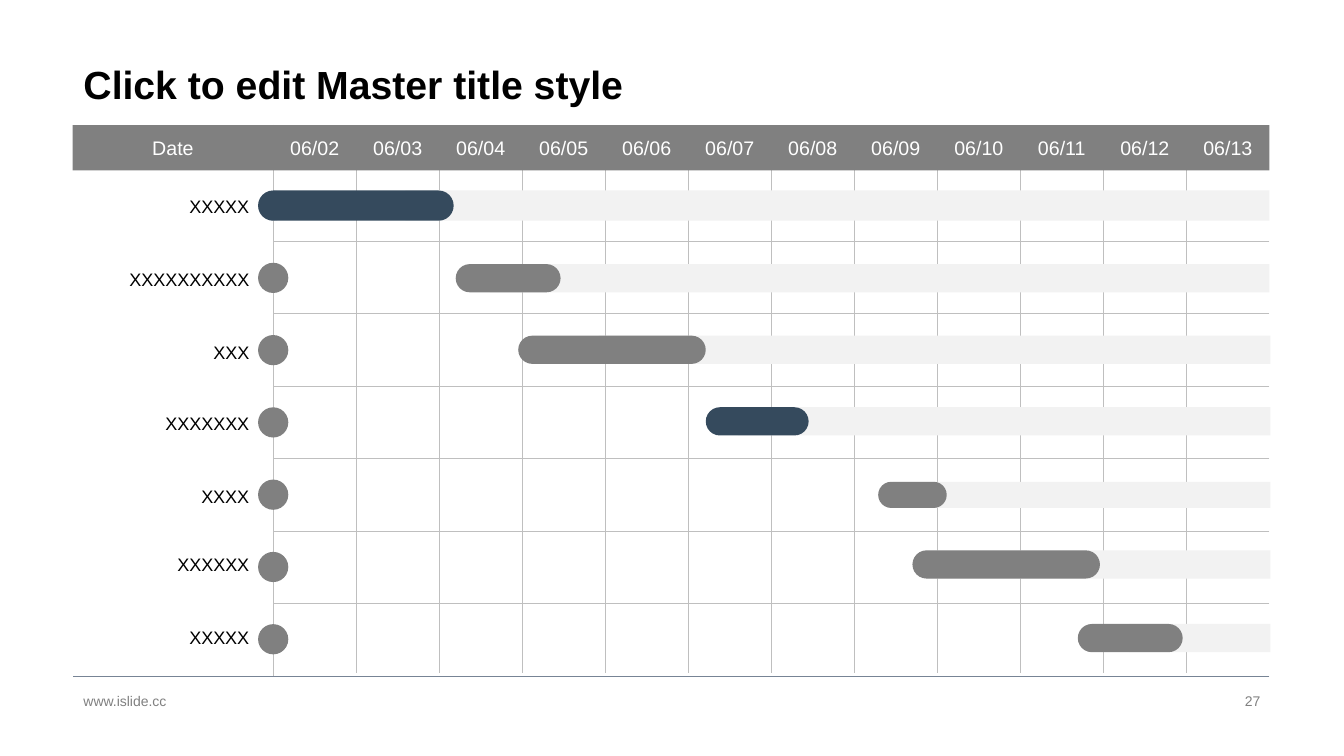
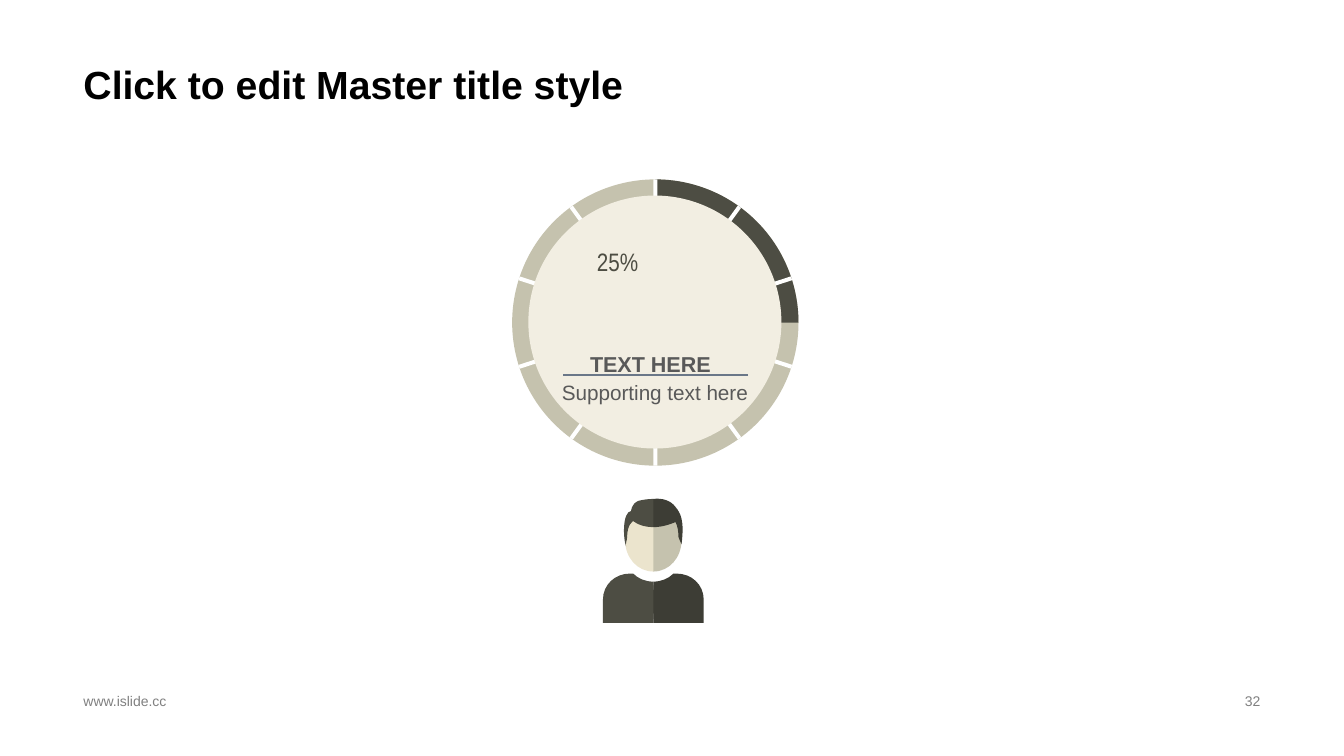
from dataclasses import dataclass
from math import cos, radians, sin

from lxml.etree import SubElement
from pptx import Presentation
from pptx.dml.color import RGBColor
from pptx.enum.shapes import MSO_CONNECTOR, MSO_SHAPE
from pptx.enum.text import MSO_ANCHOR, PP_ALIGN
from pptx.oxml.ns import qn
from pptx.util import Emu, Pt

PX = 9144  # EMU per px, 100 px to the inch


@dataclass(frozen=True)
class Theme:
    font: str = "Arial"
    narrow: str = "Arial Narrow"
    black: str = "000000"
    white: str = "FFFFFF"
    grey: str = "808080"
    navy: str = "354A5D"
    pale_navy: str = "C9CED5"
    grid: str = "BFBFBF"
    track: str = "F2F2F2"
    base_rule: str = "778495"
    caption_rule: str = "6A7788"
    body: str = "595959"
    dark: str = "4D4D43"
    darker: str = "3D3D35"
    sand: str = "C5C2AE"
    cream: str = "F2EEE2"
    skin: str = "EBE4CD"
    title_size: float = 28
    percent_size: float = 18
    heading_size: float = 15.4
    support_size: float = 14.8
    header_size: float = 14
    label_size: float = 12.9
    footer_size: float = 10


T = Theme()


@dataclass(frozen=True)
class Task:
    label: str
    label_y: int
    bar_x: int
    bar_y: int
    bar_w: int
    bar_h: int
    track_x: int
    track_right: int = 1260
    fill: str = T.grey
    dot: str = T.grey


@dataclass(frozen=True)
class Outline:
    """A start point, then lines (x, y) and cubic curves (six numbers)."""
    start: tuple
    segments: tuple
    fill: str

    def mirrored(self, axis: int, fill: str, tuck: tuple) -> "Outline":
        """Flip sideways; the tuck point reaches under the other half."""
        def flip(values: tuple) -> tuple:
            return tuple(2 * axis - v if i % 2 == 0 else v
                         for i, v in enumerate(values))
        return Outline(flip(self.start),
                       (*map(flip, self.segments), tuck), fill)


# Schedule
LEFT, GRID_LEFT, GRID_RIGHT = 72, 271, 1259
HEADER_Y, HEADER_H, BASE_Y = 124, 45, 671
DATES = [f"06/{day:02}" for day in range(2, 14)]
COLUMN_W = (GRID_RIGHT - GRID_LEFT) / len(DATES)
DOT = 30
TASKS = [
    Task("XXXXX", 189, 256, 189, 194, 30, 402, 1259, T.navy, T.pale_navy),
    Task("XXXXXXXXXX", 261, 452, 262, 104, 28, 486, 1259),
    Task("XXX", 333, 514, 333, 186, 28, 594),
    Task("XXXXXXX", 404, 700, 404, 102, 28, 732, fill=T.navy),
    Task("XXXX", 476, 871, 478, 68, 26, 886),
    Task("XXXXXX", 544, 905, 546, 186, 28, 917),
    Task("XXXXX", 616, 1069, 619, 104, 28, 1120),
]

# Dial and person
DIAL_X, DIAL_Y, DIAL_D, TICK_COUNT = 650, 320, 284, 10
PERSON_AXIS = 648
FACE = Outline((648, 505), ((632, 505, 620, 519, 620, 536),
                            (620, 553, 632, 567, 648, 567)), T.skin)
BUST = Outline((648, 577), ((656, 577, 663, 574, 668, 569), (671, 569),
                            (686, 569, 698, 580, 698, 595),
                            (698, 618), (648, 618)), T.darker)
HAIR_RIGHT = Outline((670, 503), ((665, 496, 656, 494, 648, 495),
                                  (645, 508), (648, 523),
                                  (657, 523, 665, 520, 670, 518),
                                  (672, 521, 673, 528, 673, 533),
                                  (675, 538, 676, 540, 676, 540),
                                  (679, 516, 675, 509, 670, 503)), T.darker)
HAIR_LEFT = Outline((633, 497), ((626, 500, 626, 507, 626, 507),
                                 (617, 508, 618, 535, 621, 542),
                                 (620, 540, 622, 536, 622, 533),
                                 (622, 520, 628, 517, 628, 517),
                                 (635, 522, 642, 523, 648, 523), (648, 495),
                                 (642, 495, 637, 496, 633, 497)), T.dark)
PERSON = [FACE.mirrored(PERSON_AXIS, T.sand, (646, 543)), FACE,
          BUST.mirrored(PERSON_AXIS, T.dark, (649, 596)), BUST,
          HAIR_RIGHT, HAIR_LEFT]


def px(value: float) -> Emu:
    return Emu(round(value * PX))


def paint(sp, fill: str) -> None:
    sp.shadow.inherit = False
    sp.fill.solid()
    sp.fill.fore_color.rgb = RGBColor.from_string(fill)
    sp.line.fill.background()


def add_shape(slide, kind, x: float, y: float, w: float, h: float, fill: str,
              adjust: tuple = (), rotation: float = 0) -> None:
    sp = slide.shapes.add_shape(kind, px(x), px(y), px(w), px(h))
    for i, value in enumerate(adjust):
        sp.adjustments[i] = value
    sp.rotation = rotation
    paint(sp, fill)


def add_line(slide, x1: float, y1: float, x2: float, y2: float, color: str,
             width: float = 0.25) -> None:
    line = slide.shapes.add_connector(MSO_CONNECTOR.STRAIGHT,
                                      px(x1), px(y1), px(x2), px(y2))
    line.line.color.rgb = RGBColor.from_string(color)
    line.line.width = Pt(width)
    SubElement(line._element.spPr, qn("a:effectLst"))


def add_text(slide, text: str, x: float, y: float, w: float, h: float, *,
             size: float, color: str, font: str = T.font, bold: bool = False,
             align=PP_ALIGN.LEFT, anchor=MSO_ANCHOR.MIDDLE,
             insets: tuple = (10, 5, 10, 5), spacing: float = 1.0) -> None:
    tf = slide.shapes.add_textbox(px(x), px(y), px(w), px(h)).text_frame
    tf.word_wrap = True
    tf.vertical_anchor = anchor
    (tf.margin_left, tf.margin_top,
     tf.margin_right, tf.margin_bottom) = map(px, insets)
    p = tf.paragraphs[0]
    p.alignment = align
    p.line_spacing = spacing
    r = p.add_run()
    r.text = text
    r.font.name = font
    r.font.size = Pt(size)
    r.font.bold = bold
    r.font.color.rgb = RGBColor.from_string(color)


def add_outline(slide, outline: Outline) -> None:
    points = [(px(seg[i]), px(seg[i + 1])) for seg in outline.segments
              for i in range(0, len(seg), 2)]
    builder = slide.shapes.build_freeform(*map(px, outline.start))
    builder.add_line_segments(points, close=True)
    sp = builder.convert_to_shape()
    # Merge each run of three line points into one cubic curve
    lines = iter(list(sp._element.iter(qn("a:lnTo"))))
    for seg in outline.segments:
        first, *others = [next(lines) for _ in range(len(seg) // 2)]
        if others:
            first.tag = qn("a:cubicBezTo")
        for other in others:
            first.append(other[0])
            other.getparent().remove(other)
    paint(sp, outline.fill)


def add_slide(prs, number: int):
    """Add a blank slide with the shared title and footer."""
    slide = prs.slides.add_slide(prs.slide_layouts[6])
    add_text(slide, "Click to edit Master title style", 73, 0, 1187, 112,
             size=T.title_size, color=T.black, bold=True,
             anchor=MSO_ANCHOR.BOTTOM, spacing=0.9)
    add_text(slide, "www.islide.cc", 73, 684, 453, 23,
             size=T.footer_size, color=T.grey)
    add_text(slide, str(number), 942, 684, 318, 23,
             size=T.footer_size, color=T.grey, align=PP_ALIGN.RIGHT)
    return slide


def build_schedule(slide) -> None:
    # Grid
    for i in range(len(TASKS) - 1):
        y = 239 + 71.9 * i
        add_line(slide, GRID_RIGHT, y, GRID_LEFT, y, T.grid)
    add_line(slide, GRID_RIGHT, BASE_Y, LEFT, BASE_Y, T.base_rule)
    for i in range(len(DATES)):
        x = GRID_LEFT + i * COLUMN_W
        top, bottom = (167, BASE_Y - 3) if i else (HEADER_Y, BASE_Y)
        add_line(slide, x, top, x, bottom, T.grid)

    # Header band
    add_shape(slide, MSO_SHAPE.RECTANGLE, LEFT, HEADER_Y,
              GRID_RIGHT - LEFT, HEADER_H, T.grey)
    cells = [("Date", LEFT, GRID_LEFT - LEFT)]
    cells += [(date, GRID_LEFT + i * COLUMN_W, COLUMN_W)
              for i, date in enumerate(DATES)]
    for text, x, w in cells:
        add_text(slide, text, x, HEADER_Y, w, HEADER_H, size=T.header_size,
                 color=T.white, align=PP_ALIGN.CENTER)

    # Task rows
    for i, task in enumerate(TASKS):
        add_text(slide, task.label, LEFT, task.label_y, 185, 32,
                 size=T.label_size, color=T.black, align=PP_ALIGN.RIGHT)
        add_shape(slide, MSO_SHAPE.OVAL, GRID_LEFT - DOT / 2,
                  189 + 71.7 * i, DOT, DOT, task.dot)
        add_shape(slide, MSO_SHAPE.RECTANGLE, task.track_x, task.bar_y,
                  task.track_right - task.track_x, task.bar_h, T.track)
        add_shape(slide, MSO_SHAPE.ROUNDED_RECTANGLE, task.bar_x, task.bar_y,
                  task.bar_w, task.bar_h, task.fill, adjust=(0.5,))


def build_dial(slide) -> None:
    # Ring with its filled quarter
    ring = (DIAL_X - DIAL_D / 2, DIAL_Y - DIAL_D / 2, DIAL_D, DIAL_D)
    add_shape(slide, MSO_SHAPE.DONUT, *ring, T.sand, adjust=(0.15,))
    add_shape(slide, MSO_SHAPE.BLOCK_ARC, *ring, T.dark, adjust=(162, 0, 0.15))

    # Gaps between the segments
    tick_w, tick_h, radius = 4, 44, 120
    for i in range(TICK_COUNT):
        angle = i * 360 / TICK_COUNT
        x = DIAL_X + radius * sin(radians(angle))
        y = DIAL_Y - radius * cos(radians(angle))
        add_shape(slide, MSO_SHAPE.RECTANGLE, x - tick_w / 2, y - tick_h / 2,
                  tick_w, tick_h, T.white, rotation=angle)

    # Face of the dial and its text
    add_shape(slide, MSO_SHAPE.OVAL, 524, 194, 251, 251, T.cream)
    add_text(slide, "25%", 592, 244, 116, 87, size=T.percent_size, color=T.dark,
             font=T.narrow, anchor=MSO_ANCHOR.TOP, insets=(0, 0, 0, 0))
    add_text(slide, "Supporting text here", 555, 377, 189, 24,
             size=T.support_size, color=T.body, align=PP_ALIGN.CENTER,
             anchor=MSO_ANCHOR.TOP, insets=(0, 0, 0, 0))
    add_text(slide, "TEXT HERE", 563, 343, 174, 32, size=T.heading_size,
             color=T.body, bold=True, align=PP_ALIGN.CENTER,
             anchor=MSO_ANCHOR.TOP, insets=(0, 5, 10, 5))
    add_line(slide, 742, 372, 558, 372, T.caption_rule, width=1)

    # Person
    for outline in PERSON:
        add_outline(slide, outline)


def main() -> None:
    prs = Presentation()
    prs.slide_width, prs.slide_height = px(1333), px(750)
    build_schedule(add_slide(prs, 27))
    build_dial(add_slide(prs, 32))
    prs.save("out.pptx")


if __name__ == "__main__":
    main()
